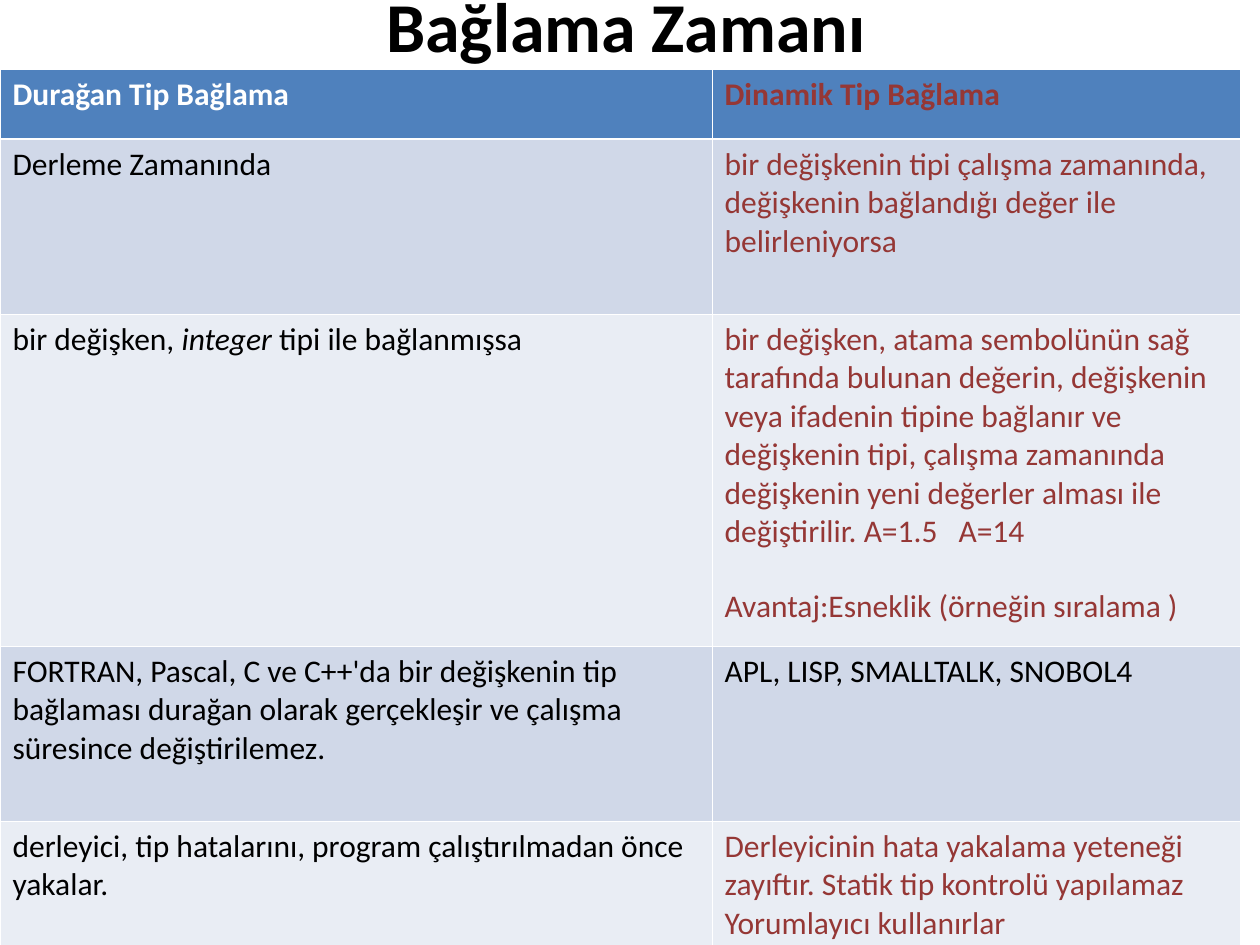
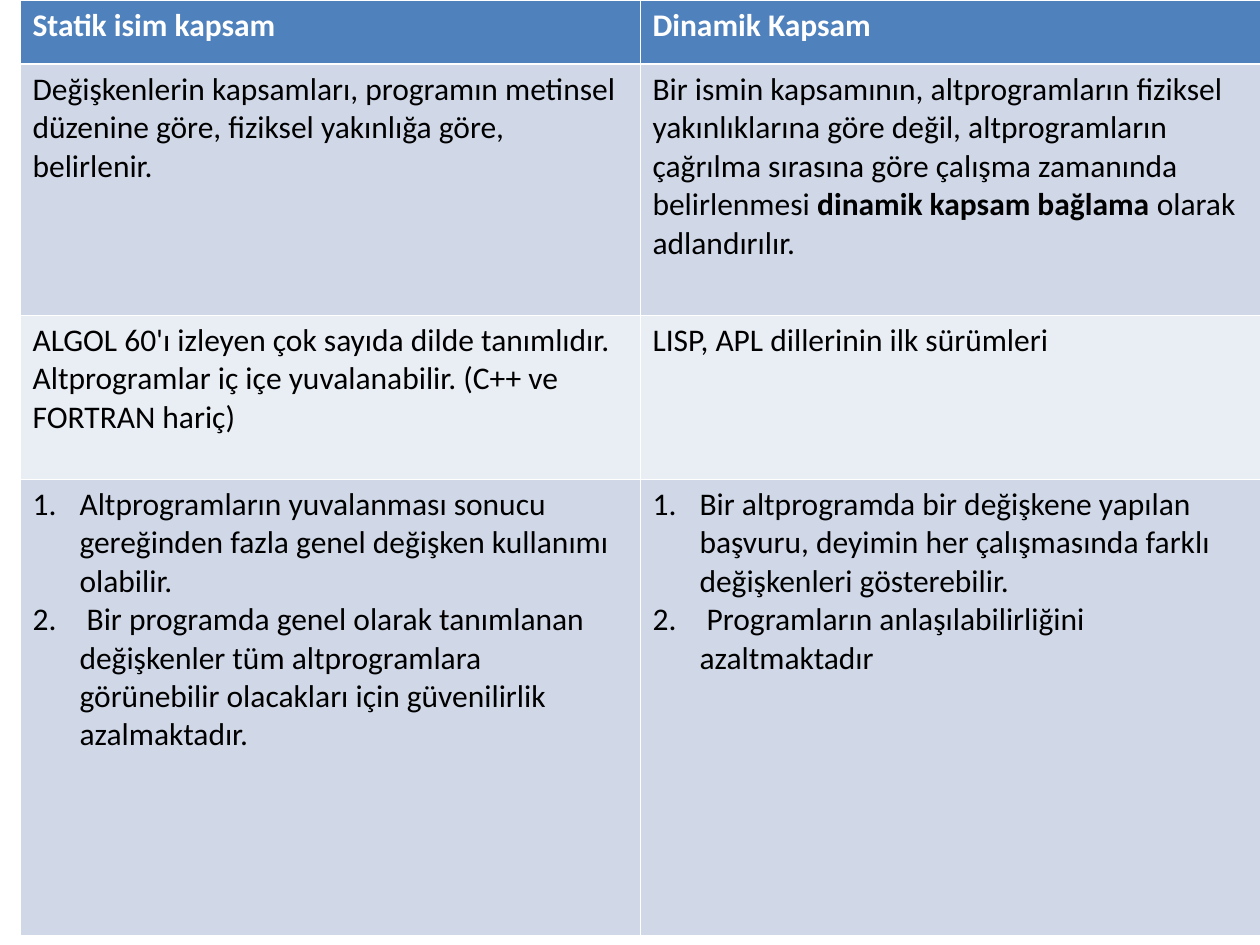
import lxml.etree
import pptx
import pptx.dml.color
import pptx.enum.text
import pptx.oxml.ns
import pptx.util

PX = 914400 / 126
FONT = "Calibri"
WHITE = pptx.dml.color.RGBColor(0xFF, 0xFF, 0xFF)
BLACK = pptx.dml.color.RGBColor(0x00, 0x00, 0x00)
RUST = pptx.dml.color.RGBColor(0x95, 0x37, 0x35)
HEADER_BLUE = pptx.dml.color.RGBColor(0x4F, 0x81, 0xBD)
BANDS = [pptx.dml.color.RGBColor(0xE9, 0xED, 0xF4), pptx.dml.color.RGBColor(0xD0, 0xD8, 0xE8)]
THIN, THICK = 0.45, 1.47


def px(length):
    return pptx.util.Emu(round(length * PX))


def add_xml(parent, tag, **attributes):
    return lxml.etree.SubElement(parent, pptx.oxml.ns.qn(tag), attributes)


binding_rows = [
    [(WHITE, ["Durağan Tip Bağlama"]), (RUST, ["Dinamik Tip Bağlama"])],
    [(BLACK, ["Derleme Zamanında"]),
     (RUST, ["bir değişkenin tipi çalışma zamanında, değişkenin bağlandığı değer ile belirleniyorsa"])],
    [(BLACK, ["bir değişken, |integer| tipi ile bağlanmışsa"]),
     (RUST, ["bir değişken, atama sembolünün sağ tarafında bulunan değerin, değişkenin veya ifadenin "
             "tipine bağlanır ve değişkenin tipi, çalışma zamanında değişkenin yeni değerler alması "
             "ile değiştirilir. A=1.5\tA=14",
             "Avantaj:Esneklik (örneğin sıralama )"])],
    [(BLACK, ["FORTRAN, Pascal, C ve C++'da bir değişkenin tip bağlaması durağan olarak gerçekleşir "
              "ve çalışma süresince değiştirilemez."]),
     (BLACK, ["APL, LISP, SMALLTALK, SNOBOL4"])],
    [(BLACK, ["derleyici, tip hatalarını, program çalıştırılmadan önce yakalar."]),
     (RUST, ["Derleyicinin hata yakalama yeteneği zayıftır. Statik tip kontrolü yapılamaz",
             "Yorumlayıcı kullanırlar"])],
]

scope_rows = [
    [(WHITE, ["Statik isim kapsam"]), (WHITE, ["Dinamik Kapsam"])],
    [(BLACK, ["Değişkenlerin kapsamları, programın metinsel düzenine göre, fiziksel yakınlığa göre, belirlenir."]),
     (BLACK, ["Bir ismin kapsamının, altprogramların fiziksel yakınlıklarına göre değil, altprogramların "
              "çağrılma sırasına göre çalışma zamanında belirlenmesi |dinamik kapsam bağlama| olarak "
              "adlandırılır."])],
    [(BLACK, ["ALGOL 60'ı izleyen çok sayıda dilde tanımlıdır. Altprogramlar iç içe yuvalanabilir. "
              "(C++ ve FORTRAN hariç)"]),
     (BLACK, ["LISP, APL dillerinin ilk sürümleri"])],
    [(BLACK, ["Altprogramların yuvalanması sonucu gereğinden fazla genel değişken kullanımı olabilir.",
              " Bir programda genel olarak tanımlanan değişkenler tüm altprogramlara görünebilir "
              "olacakları için güvenilirlik azalmaktadır."]),
     (BLACK, ["Bir altprogramda bir değişkene yapılan başvuru, deyimin her çalışmasında farklı "
              "değişkenleri gösterebilir.",
              " Programların anlaşılabilirliğini azaltmaktadır"])],
]

deck = pptx.Presentation()
deck.slide_width, deck.slide_height = px(1260), px(945)

binding_slide = deck.slides.add_slide(deck.slide_layouts[5])
scope_slide = deck.slides.add_slide(deck.slide_layouts[6])

heading = binding_slide.shapes.title
heading.left, heading.top, heading.width, heading.height = px(59), px(0), px(1134), px(49)
heading.text_frame.text = "Bağlama Zamanı"
heading.text_frame.auto_size = pptx.enum.text.MSO_AUTO_SIZE.NONE
heading.text_frame.vertical_anchor = pptx.enum.text.MSO_ANCHOR.MIDDLE
heading_line = heading.text_frame.paragraphs[0]
heading_line.alignment = pptx.enum.text.PP_ALIGN.CENTER
heading_line.font.name = FONT
heading_line.font.size = pptx.util.Pt(40)
heading_line.font.bold = True
heading_line.font.color.rgb = BLACK

comparisons = [
    (binding_slide, 0, 69, [712, 528], [70, 175, 332, 175, 126], binding_rows, "italic", None),
    (scope_slide, 20, 0, [620, 620], [64, 251, 164, 456], scope_rows, "bold", 3),
]

for slide, left, top, widths, heights, rows, emphasis, numbered_row in comparisons:
    comparison = slide.shapes.add_table(
        len(rows), len(widths), px(left), px(top), px(sum(widths)), px(sum(heights))).table
    for column, width in zip(comparison.columns, widths):
        column.width = px(width)
    for r, row in enumerate(rows):
        comparison.rows[r].height = px(heights[r])
        for c, (colour, lines) in enumerate(row):
            cell = comparison.cell(r, c)
            cell_properties = cell._tc.get_or_add_tcPr()
            for side in "LRTB":
                under_header = (r, side) in [(0, "B"), (1, "T")]
                weight = pptx.util.Pt(THICK if under_header else THIN)
                border = add_xml(cell_properties, f"a:ln{side}", w=str(weight))
                add_xml(add_xml(border, "a:solidFill"), "a:srgbClr", val=str(WHITE))
            cell.fill.solid()
            cell.fill.fore_color.rgb = BANDS[r % 2] if r else HEADER_BLUE

            for n, line in enumerate(lines):
                paragraph = cell.text_frame.add_paragraph() if n else cell.text_frame.paragraphs[0]
                paragraph.font.name = FONT
                paragraph.font.size = pptx.util.Pt(18)
                paragraph.font.bold = r == 0
                paragraph.font.color.rgb = colour
                for k, piece in enumerate(line.split("|")):
                    run = paragraph.add_run()
                    run.text = piece
                    if k % 2:
                        setattr(run.font, emphasis, True)
                if line.startswith("Avantaj"):
                    paragraph.space_before = pptx.util.Pt(21)
                properties = paragraph._p.get_or_add_pPr()
                if r == numbered_row:
                    properties.set("marL", str(px(47)))
                    properties.set("indent", str(px(-47)))
                    numbering = add_xml(properties, "a:buAutoNum", type="arabicPeriod")
                    properties.insert(0, numbering)
                if "\t" in line:
                    stops = add_xml(properties, "a:tabLst")
                    add_xml(stops, "a:tab", pos=str(px(234)), algn="l")
                    properties.insert(0, stops)

deck.save("out.pptx")
